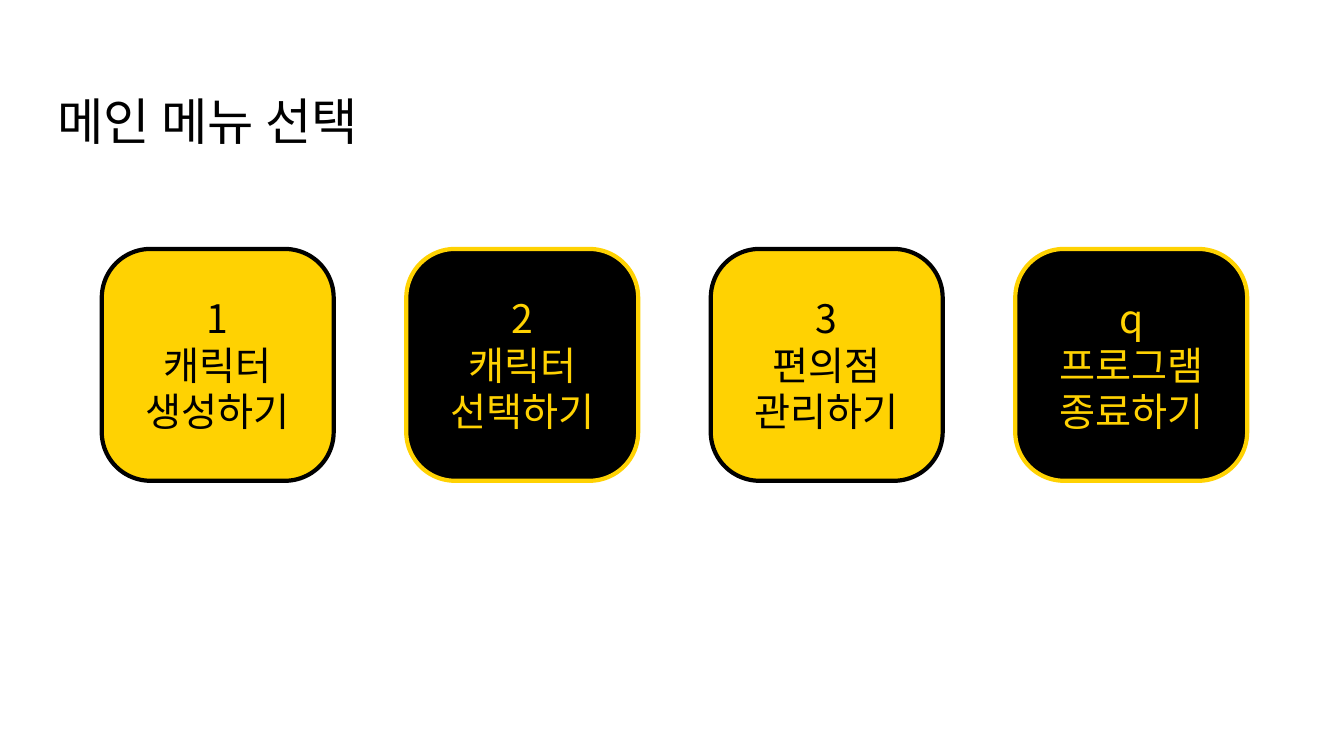
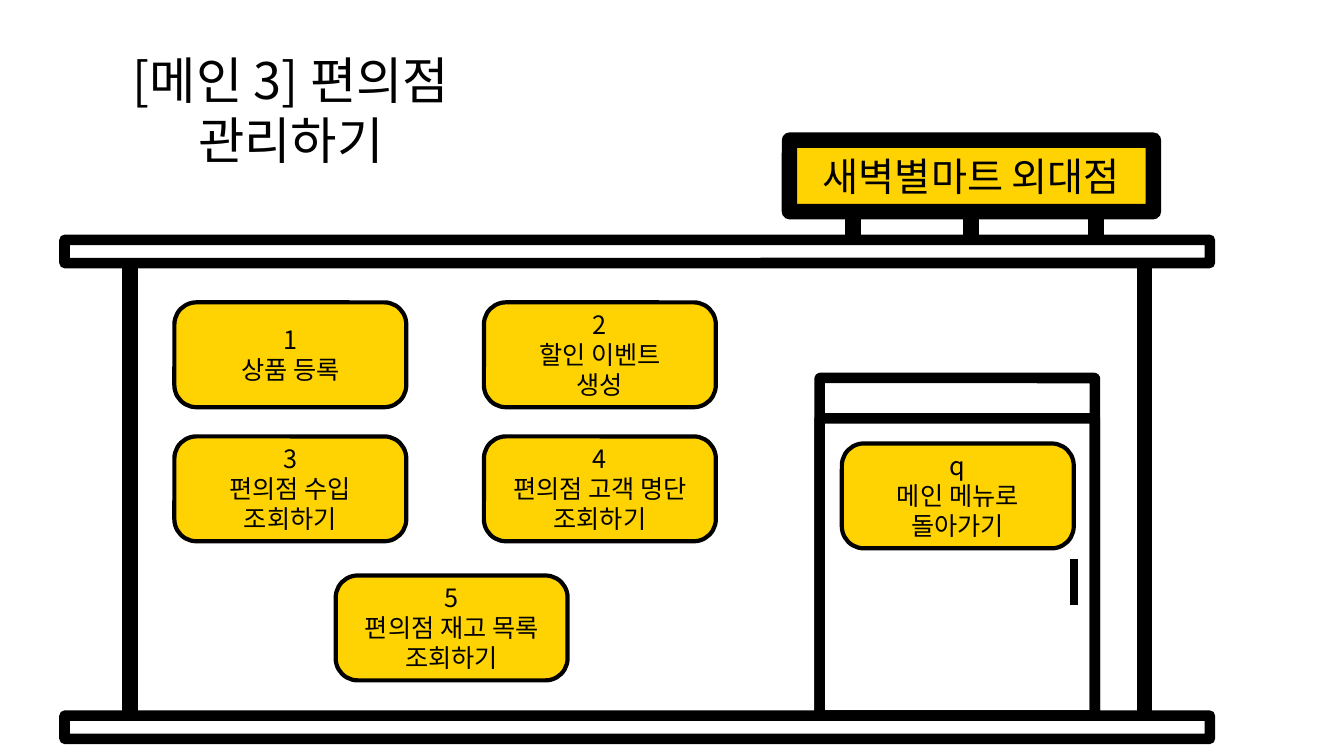
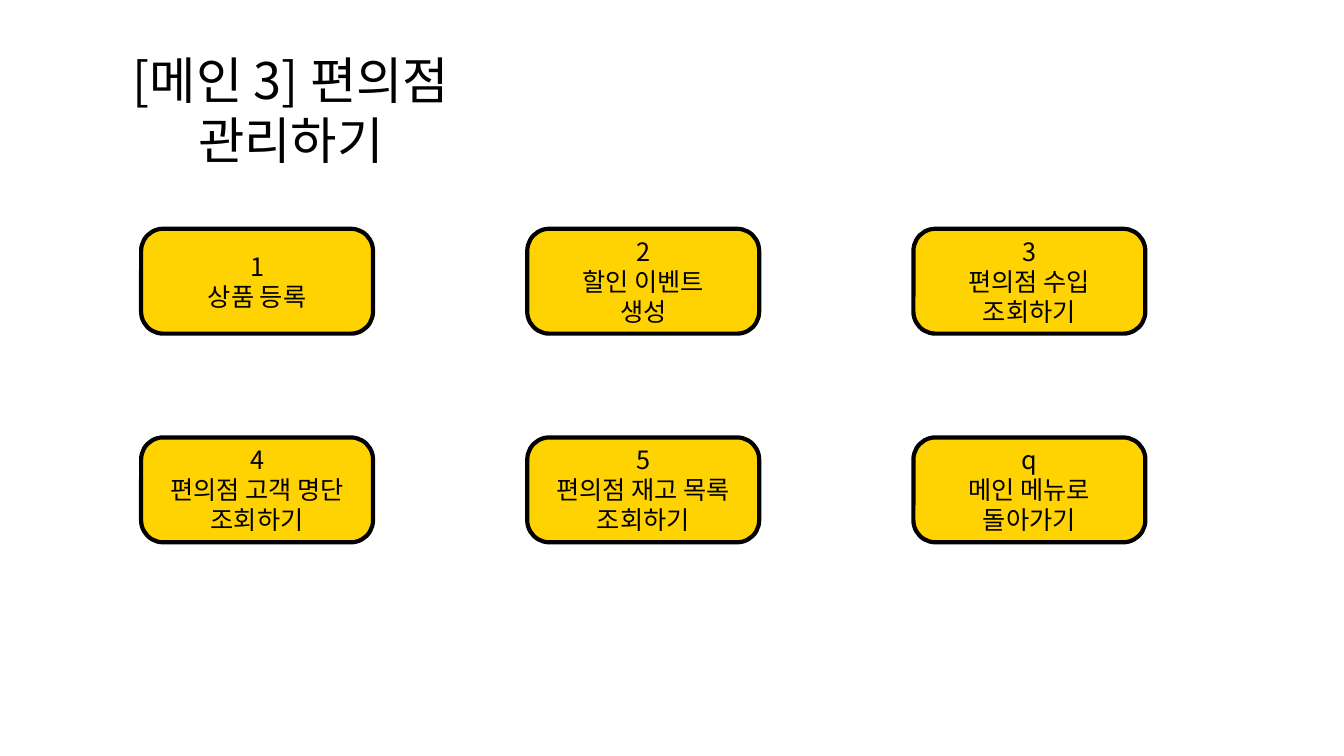
"""Build three menu slides for a convenience store program."""
from lxml.etree import SubElement
from pptx import Presentation
from pptx.dml.color import RGBColor
from pptx.enum.shapes import MSO_CONNECTOR, MSO_SHAPE
from pptx.enum.text import MSO_ANCHOR, MSO_AUTO_SIZE, PP_ALIGN
from pptx.oxml.ns import qn
from pptx.util import Inches, Pt

COLORS = {"black": "000000", "yellow": "FFD202"}
FONT = "Noto Sans CJK KR"
LINE_PITCH = 1.19
TITLE_FRAME = {"word_wrap": True, "auto_size": MSO_AUTO_SIZE.NONE,
               "vertical_anchor": MSO_ANCHOR.TOP, "margin_left": Inches(0.1),
               "margin_right": Inches(0.1), "margin_top": Inches(0.09),
               "margin_bottom": Inches(0.05)}
BOX_FRAME = {"word_wrap": True, "auto_size": MSO_AUTO_SIZE.NONE,
             "vertical_anchor": MSO_ANCHOR.MIDDLE, "margin_left": 0,
             "margin_right": 0, "margin_top": 0, "margin_bottom": 0}

STORE_TITLE = "[메인 3] 편의점 관리하기"
MAIN_MENU = ["1\n캐릭터\n생성하기", "2\n캐릭터\n선택하기",
             "3\n편의점\n관리하기", "q\n프로그램\n종료하기"]
STORE_MENU = ["1\n상품 등록", "2\n할인 이벤트\n생성", "3\n편의점 수입\n조회하기",
              "4\n편의점 고객 명단\n조회하기", "5\n편의점 재고 목록\n조회하기",
              "q\n메인 메뉴로\n돌아가기"]


def color(name):
    """Return the named colour."""
    return RGBColor.from_string(COLORS[name])


class MenuDeck:
    """Hold the shared style and the current slide."""

    def __init__(self):
        """Start a wide, empty deck."""
        self.deck = Presentation()
        self.deck.slide_width, self.deck.slide_height = Inches(13.33), Inches(7.5)
        self.page = None

    def add_page(self, title, top, width):
        """Add a slide with a formatted title."""
        self.page = self.deck.slides.add_slide(self.deck.slide_layouts[5])
        box = self.page.shapes.title
        place = {"left": 0.27, "top": top, "width": width, "height": 0.71}
        for name, value in place.items():
            setattr(box, name, Inches(value))
        self.set_text(box, title, 36, "black", TITLE_FRAME)

    def set_text(self, box, text, size, ink, frame_format):
        """Fill a shape with centred lines of text."""
        frame = box.text_frame
        for name, value in frame_format.items():
            setattr(frame, name, value)
        frame.text = text
        for para in frame.paragraphs:
            para.alignment = PP_ALIGN.CENTER
            para.line_spacing = Pt(round(size * LINE_PITCH, 1))
            for span in para.runs:
                for name, value in {"name": FONT, "size": Pt(size), "bold": False}.items():
                    setattr(span.font, name, value)
                span.font.color.rgb = color(ink)
                east_asian = SubElement(span._r.get_or_add_rPr(), qn("a:ea"))
                east_asian.set("typeface", FONT)

    def add_panel(self, left, top, width, height, weight=7.5, fill=None,
                  line="black", corner=0.002):
        """Draw an outlined box, filled when a colour is given."""
        box = self.page.shapes.add_shape(
            MSO_SHAPE.ROUNDED_RECTANGLE, Inches(left), Inches(top),
            Inches(width), Inches(height))
        box.adjustments[0] = corner
        box.shadow.inherit = False
        if fill:
            box.fill.solid()
            box.fill.fore_color.rgb = color(fill)
        else:
            box.fill.background()
        box.line.color.rgb = color(line)
        box.line.width = Pt(weight)
        return box

    def add_card(self, text, left, top, height=1.04, size=18,
                 fill="yellow", ink="black"):
        """Draw a rounded menu card."""
        box = self.add_panel(left, top, 2.3, height, 3, fill, ink, 0.21)
        self.set_text(box, text, size, ink, BOX_FRAME)

    def add_post(self, left, top, bottom, weight=11):
        """Draw a thick vertical line."""
        post = self.page.shapes.add_connector(
            MSO_CONNECTOR.STRAIGHT, Inches(left), Inches(top),
            Inches(left), Inches(bottom))
        post.line.color.rgb = color("black")
        post.line.width = Pt(weight)
        SubElement(post._element.spPr, qn("a:effectLst"))


def build_main_menu(menu):
    """Build the row of main menu cards."""
    menu.add_page("메인 메뉴 선택", 0.81, 3.58)
    for index, text in enumerate(MAIN_MENU):
        fill, ink = ("black", "yellow") if index % 2 else ("yellow", "black")
        menu.add_card(text, 1.01 + 3.02 * index, 2.47, 2.3, 28, fill, ink)


def build_store_front(menu):
    """Build the store drawing with cards on its wall and door."""
    menu.add_page(STORE_TITLE, 0.4, 5.23)
    for top in (2.38, 7.1):
        menu.add_panel(0.64, top, 11.36, 0.23)
    sign = menu.add_panel(7.83, 1.39, 3.61, 0.71, 11, "yellow")
    menu.set_text(sign, "새벽별마트 외대점", 28, "black", BOX_FRAME)
    for left in (8.46, 9.63, 10.87):
        menu.add_post(left, 2.09, 2.38)
    for left in (1.29, 11.35):
        menu.add_post(left, 2.61, 7.1)
    spots = [(1.73, 3), (4.8, 3), (1.73, 4.33), (4.8, 4.33), (3.33, 5.71), (8.35, 4.4)]
    for text, (left, top) in zip(STORE_MENU, spots):
        menu.add_card(text, left, top)
    for top in (3.75, 4.15):
        menu.add_panel(8.13, top, 2.73, 7.1 - top)
    menu.add_post(10.65, 5.55, 6, 6)


def build_store_menu(menu):
    """Build the grid of store menu cards."""
    menu.add_page(STORE_TITLE, 0.4, 5.23)
    for index, text in enumerate(STORE_MENU):
        row, column = divmod(index, 3)
        menu.add_card(text, 1.4 + 3.83 * column, 2.27 + 2.07 * row)


def main():
    """Build and save the deck."""
    menu = MenuDeck()
    for build in (build_main_menu, build_store_front, build_store_menu):
        build(menu)
    menu.deck.save("out.pptx")


if __name__ == "__main__":
    main()
